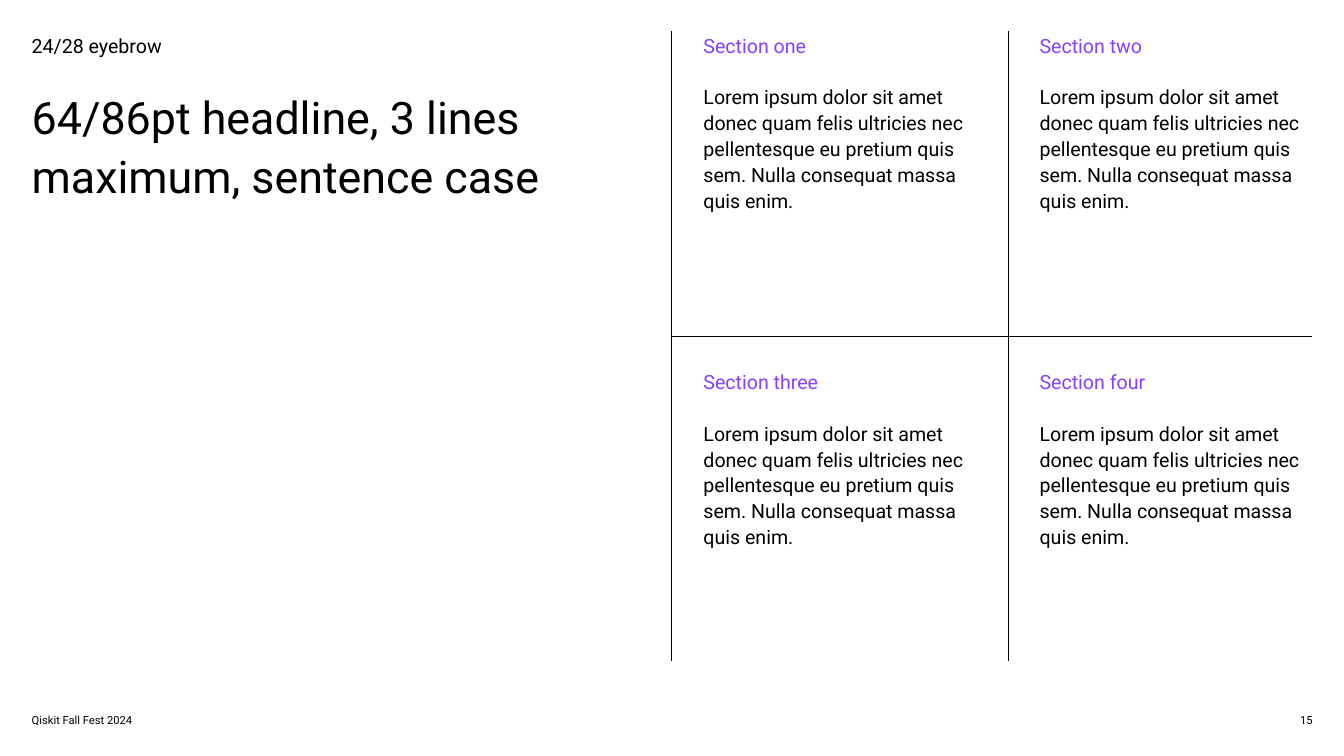
from pptx import Presentation
from pptx.dml.color import RGBColor
from pptx.enum.shapes import MSO_CONNECTOR
from pptx.enum.text import MSO_ANCHOR as Anchor, MSO_AUTO_SIZE as AutoSize, PP_ALIGN as Align
from pptx.oxml.ns import qn
from pptx.util import Inches, Pt
from lxml import etree

BLACK, PURPLE = "000000", "8A3FFC"
MARGIN, RIGHT_EDGE = 0.63, 26.04
BODY = ("Lorem ipsum dolor sit amet donec quam felis ultricies nec pellentesque "
        "eu pretium quis sem. Nulla consequat massa quis enim.")


def color(hex_string):
    return RGBColor.from_string(hex_string)


def write(shape, paragraphs, size, spacing=1.1, gap=0, align=Align.LEFT, **frame_format):
    """Fill a shape with (text, colour) paragraphs, separated by gap points."""
    frame = shape.text_frame
    frame_values = {
        "margin_left": 0, "margin_right": 0, "margin_top": 0, "margin_bottom": 0,
        "word_wrap": True, "auto_size": AutoSize.NONE, "vertical_anchor": Anchor.TOP,
    }
    for name, value in (frame_values | frame_format).items():
        setattr(frame, name, value)
    for index, (text, hex_string) in enumerate(paragraphs):
        paragraph = frame.add_paragraph() if index else frame.paragraphs[0]
        paragraph.text = text
        paragraph.alignment = align
        paragraph.line_spacing = spacing
        paragraph.space_before = Pt(gap if index else 0)
        paragraph.font.name = "Roboto"
        paragraph.font.size = Pt(size)
        paragraph.font.color.rgb = color(hex_string)


presentation = Presentation()
presentation.slide_width, presentation.slide_height = Inches(26.67), Inches(15)
slide = presentation.slides.add_slide(presentation.slide_layouts[5])
shapes = slide.shapes

# Headline and eyebrow
title = shapes.title
title.left, title.top = Inches(MARGIN), Inches(1.67)
title.width, title.height = Inches(12.08), Inches(2.49)
write(title, [("64/86pt headline, 3 lines maximum, sentence case", BLACK)], 64,
      margin_right=Inches(0.5))
eyebrow = shapes.add_textbox(Inches(MARGIN), Inches(MARGIN), Inches(5.42), Inches(0.49))
write(eyebrow, [("24/28 eyebrow", BLACK)], 28)

# Grid rules: two vertical, one horizontal
columns = [13.33, 20]
rules = [(x, 0.62, x, 13.12) for x in columns] + [(columns[0], 6.67, RIGHT_EDGE, 6.67)]
for rule in rules:
    connector = shapes.add_connector(MSO_CONNECTOR.STRAIGHT, *map(Inches, rule))
    connector.line.color.rgb = color(BLACK)
    connector.line.width = Pt(1)
    etree.SubElement(connector._element.spPr, qn("a:effectLst"))

# Four sections, two in each row
for index, number in enumerate(["one", "two", "three", "four"]):
    row, column = divmod(index, 2)
    section = shapes.add_textbox(Inches(columns[column] + 0.63), Inches(0.62 + row * 6.67),
                                 Inches(5.42), Inches(5.42))
    write(section, [(f"Section {number}", PURPLE), (BODY, BLACK)], 28, gap=37)

# Footer and page number
footer = shapes.add_textbox(Inches(MARGIN), Inches(14), Inches(5.42), Inches(0.42))
write(footer, [("Qiskit Fall Fest 2024", BLACK)], 16, spacing=1, vertical_anchor=Anchor.BOTTOM)
page_number = shapes.add_textbox(Inches(25.75), Inches(14.15), Inches(0.3), Inches(0.27))
write(page_number, [("15", BLACK)], 16, spacing=1, align=Align.RIGHT, word_wrap=False,
      auto_size=AutoSize.SHAPE_TO_FIT_TEXT, vertical_anchor=Anchor.MIDDLE)

presentation.save("out.pptx")
